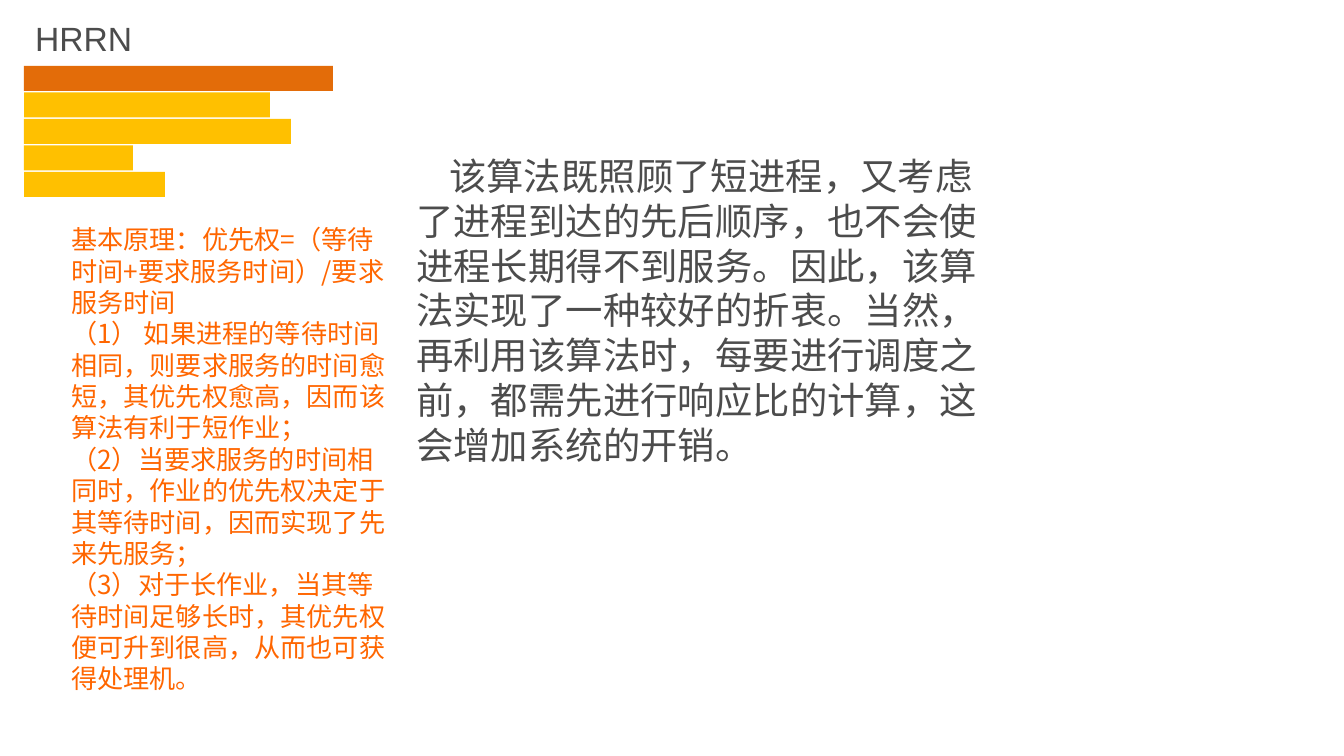
from pptx import Presentation
from pptx.dml.color import RGBColor
from pptx.enum.shapes import MSO_SHAPE as Shape
from pptx.enum.text import MSO_ANCHOR as Anchor, MSO_AUTO_SIZE as AutoSize, PP_ALIGN as Align
from pptx.oxml.ns import qn
from pptx.util import Pt

EMU_PER_PX = 914400 / 134.4
CJK = "Noto Sans CJK SC"
GREY, ORANGE, DARK_ORANGE, AMBER, WHITE = "4C4C4C", "FF6600", "E36C09", "FFC000", "FFFFFF"

BAR_WIDTHS = [309, 246, 267, 109, 141]
PRINCIPLES = [
    "基本原理：优先权=（等待时间+要求服务时间）/要求服务时间",
    "（1） 如果进程的等待时间相同，则要求服务的时间愈短，其优先权愈高，因而该算法有利于短作业；",
    "（2）当要求服务的时间相同时，作业的优先权决定于其等待时间，因而实现了先来先服务；",
    "（3）对于长作业，当其等待时间足够长时，其优先权便可升到很高，从而也可获得处理机。",
]
SUMMARY = (
    "该算法既照顾了短进程，又考虑了进程到达的先后顺序，也不会使进程长期得不到服务。"
    "因此，该算法实现了一种较好的折衷。当然，再利用该算法时，每要进行调度之前，"
    "都需先进行响应比的计算，这会增加系统的开销。"
)


def px(length):
    return round(length * EMU_PER_PX)


def color(hex_value):
    return RGBColor.from_string(hex_value)


def add_rect(slide, left, top, width, height, fill):
    rect = slide.shapes.add_shape(Shape.RECTANGLE, px(left), px(top), px(width), px(height))
    rect.shadow.inherit = False
    rect.fill.solid()
    rect.fill.fore_color.rgb = color(fill)
    rect.line.fill.background()
    return rect


def add_box(slide, left, top, width, height, wrap=True):
    box = slide.shapes.add_textbox(px(left), px(top), px(width), px(height))
    box.text_frame.word_wrap = wrap
    box.text_frame.auto_size = AutoSize.SHAPE_TO_FIT_TEXT
    return box


def write(shape, lines, size, font, hex_value, spacing=None, indent=0):
    frame = shape.text_frame
    frame.text = "\n".join(lines)
    for paragraph in frame.paragraphs:
        paragraph.alignment = Align.LEFT
        if spacing:
            paragraph.line_spacing = Pt(spacing)
        if indent:
            paragraph._p.get_or_add_pPr().set("indent", str(px(indent)))
        for run in paragraph.runs:
            run.font.size = Pt(size)
            run.font.name = font
            run.font.color.rgb = color(hex_value)
            # East Asian typeface follows the Latin one
            east_asian = run._r.get_or_add_rPr().makeelement(qn("a:ea"), {"typeface": font})
            run.font._element.find(qn("a:latin")).addnext(east_asian)


def main():
    prs = Presentation()
    prs.slide_width, prs.slide_height = px(1344), px(756)
    slide = prs.slides.add_slide(prs.slide_layouts[6])

    # Decorative bars, the first one highlighted
    for row, width in enumerate(BAR_WIDTHS):
        add_rect(slide, 24, 66 + row * 53 / 2, width, 25, AMBER if row else DARK_ORANGE)

    # Title
    title = add_box(slide, 22, 11, 124, 54, wrap=False)
    write(title, ["HRRN"], 18, "Arial", GREY)

    # Principles on the left
    principles = add_box(slide, 58, 217, 345, 483)
    write(principles, PRINCIPLES, 14, CJK, ORANGE, spacing=16.8)

    # Summary panel
    summary = add_rect(slide, 403, 109, 614, 402, WHITE)
    summary.text_frame.word_wrap = True
    summary.text_frame.vertical_anchor = Anchor.MIDDLE
    write(summary, [SUMMARY], 20, CJK, GREY, spacing=24, indent=33)

    prs.save("out.pptx")


if __name__ == "__main__":
    main()
